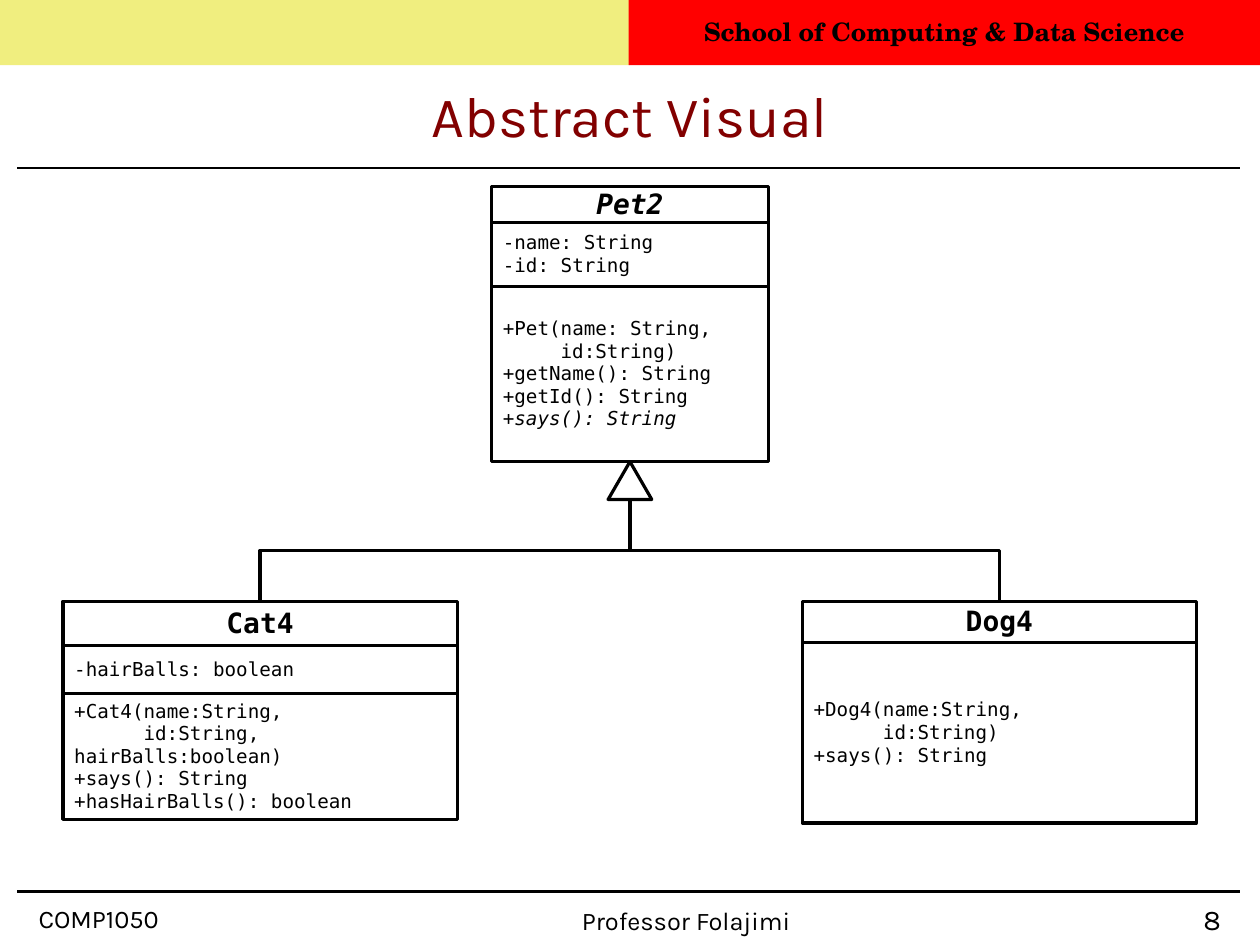
from pptx import Presentation
from pptx.dml.color import RGBColor
from pptx.enum.shapes import MSO_CONNECTOR, MSO_SHAPE
from pptx.enum.text import MSO_ANCHOR, MSO_AUTO_SIZE, PP_ALIGN
from pptx.oxml.xmlchemy import OxmlElement
from pptx.util import Cm, Pt

BLACK = RGBColor(0x00, 0x00, 0x00)
WHITE = RGBColor(0xFF, 0xFF, 0xFF)
RED = RGBColor(0xFF, 0x00, 0x00)
YELLOW = RGBColor(0xE3, 0xDE, 0x00)
MAROON = RGBColor(0x82, 0x00, 0x00)

BODY_FONT = "Karla"
CODE_FONT = "DejaVu Sans Mono"
BANNER_FONT = "TeX Gyre Schola"

MEMBER_SIZE = 12.1
CHARACTER_WIDTH = 0.602 * MEMBER_SIZE  # points, monospaced

SLIDE_WIDTH = 28
CENTER = SLIDE_WIDTH / 2
BANNER_HEIGHT = 1.45
PARENT_WIDTH, PARENT_TOP = 6.15, 4.14
CHILD_WIDTH, CHILD_TOP = 8.76, 13.36
CAT_LEFT, DOG_LEFT = 1.4, 17.83
TRIANGLE_WIDTH, TRIANGLE_HEIGHT = 0.97, 0.84


def format_paragraph(paragraph, font, size, color=BLACK, align=PP_ALIGN.LEFT,
                     spacing=0.98, bold=False, italic=False):
    paragraph.alignment = align
    paragraph.line_spacing = spacing
    for run in paragraph.runs:
        run.font.name = font
        run.font.size = Pt(size)
        run.font.color.rgb = color
        run.font.bold = bold
        run.font.italic = italic


def add_box(slide, kind, left, top, width, height, fill, outlined=True):
    shape = slide.shapes.add_shape(kind, Cm(left), Cm(top), Cm(width), Cm(height))
    shape.shadow.inherit = False
    shape.fill.solid()
    shape.fill.fore_color.rgb = fill
    if outlined:
        shape.line.color.rgb = BLACK
        shape.line.width = Pt(2)
    else:
        shape.line.fill.background()
    shape.text_frame.word_wrap = True
    shape.text_frame.vertical_anchor = MSO_ANCHOR.MIDDLE
    return shape


def add_line(slide, kind, start, end, width):
    connector = slide.shapes.add_connector(kind, *map(Cm, start + end))
    connector.line.color.rgb = BLACK
    connector.line.width = Pt(width)
    connector._element.spPr.append(OxmlElement("a:effectLst"))
    return connector


def add_rising_elbow(slide, start, end):
    """Draw an elbow that leaves and arrives vertically: a quarter-turned connector."""
    connector = add_line(slide, MSO_CONNECTOR.ELBOW, start, end, 2)
    across, rise = abs(end[0] - start[0]), start[1] - end[1]
    connector.left = Cm((start[0] + end[0] - rise) / 2)
    connector.top = Cm((start[1] + end[1] - across) / 2)
    connector.width, connector.height = Cm(rise), Cm(across)
    rightward = end[0] > start[0]
    transform = connector._element.spPr.xfrm
    transform.set("rot", str((90 if rightward else 270) * 60000))
    transform.set("flipH", "1" if rightward else "0")
    transform.set("flipV", "1")


def add_label(slide, text, left, top, width, size, align=PP_ALIGN.LEFT):
    frame = slide.shapes.add_textbox(Cm(left), Cm(top), Cm(width), Cm(0.71)).text_frame
    frame.word_wrap = True
    frame.margin_left = frame.margin_right = frame.margin_bottom = 0
    frame.margin_top = Cm(0.05)
    frame.text = text
    format_paragraph(frame.paragraphs[0], BODY_FONT, size, align=align, spacing=0.93)


def add_title(slide, text):
    title = slide.shapes.title
    title.left, title.top, title.width, title.height = map(Cm, (1.4, 1.5, 25.2, 1.83))
    frame = title.text_frame
    frame.text = text
    frame.auto_size = MSO_AUTO_SIZE.NONE
    frame.vertical_anchor = MSO_ANCHOR.MIDDLE
    frame.margin_left = frame.margin_right = frame.margin_top = frame.margin_bottom = 0
    format_paragraph(frame.paragraphs[0], BODY_FONT, 36, MAROON, PP_ALIGN.CENTER, 1.17)


def add_banner(slide):
    yellow = add_box(slide, MSO_SHAPE.RECTANGLE, 0, 0, CENTER, BANNER_HEIGHT, YELLOW, False)
    alpha = OxmlElement("a:alpha")
    alpha.set("val", "50000")
    yellow._element.spPr.find(".//{*}srgbClr").append(alpha)
    red = add_box(slide, MSO_SHAPE.RECTANGLE, CENTER - 0.03, 0, CENTER + 0.03,
                  BANNER_HEIGHT, RED, False)
    red.text_frame.text = "School of Computing & Data Science"
    format_paragraph(red.text_frame.paragraphs[0], BANNER_FONT, 16,
                     align=PP_ALIGN.CENTER, bold=True)


def add_class(slide, name, left, top, width, name_height, compartments, abstract=False):
    """Stack a name box and compartments of (height, [(text, indent, italic), ...])."""
    box = add_box(slide, MSO_SHAPE.RECTANGLE, left, top, width, name_height, WHITE)
    box.text_frame.text = name
    format_paragraph(box.text_frame.paragraphs[0], CODE_FONT, 17.6,
                     align=PP_ALIGN.CENTER, bold=True, italic=abstract)
    top += name_height
    for height, members in compartments:
        box = add_box(slide, MSO_SHAPE.RECTANGLE, left, top, width, height, WHITE)
        box.text_frame.text = "\n".join(text for text, _, _ in members)
        for paragraph, (_, indent, italic) in zip(box.text_frame.paragraphs, members):
            format_paragraph(paragraph, CODE_FONT, MEMBER_SIZE, italic=italic)
            if indent:
                properties = paragraph._p.get_or_add_pPr()
                properties.set("marL", "0")
                properties.set("indent", str(Pt(indent * CHARACTER_WIDTH)))
        top += height
    return top


def main():
    presentation = Presentation()
    presentation.slide_width, presentation.slide_height = Cm(SLIDE_WIDTH), Cm(21)
    slide = presentation.slides.add_slide(presentation.slide_layouts[5])

    add_banner(slide)
    add_title(slide, "Abstract Visual")
    for y in (3.73, 19.81):
        add_line(slide, MSO_CONNECTOR.STRAIGHT, (0.38, y), (27.56, y), 1.5)
    add_label(slide, "COMP1050", 0.86, 20.07, 4.9, 16)
    add_label(slide, "Professor Folajimi", 12.93, 20.12, 4.9, 16)
    add_label(slide, "8", 25.02, 20.07, 2.11, 18, PP_ALIGN.RIGHT)

    parent_bottom = add_class(
        slide, "Pet2", CENTER - PARENT_WIDTH / 2, PARENT_TOP, PARENT_WIDTH, 0.8, [
            (1.42, [("-name: String", 0, False), ("-id: String", 0, False)]),
            (3.9, [("+Pet(name: String,", 0, False),
                   ("id:String)", 5, False),
                   ("+getName(): String", 0, False),
                   ("+getId(): String", 0, False),
                   ("+says(): String", 0, True)]),
        ], abstract=True)
    add_class(slide, "Dog4", DOG_LEFT, CHILD_TOP, CHILD_WIDTH, 0.92, [
        (4.01, [("+Dog4(name:String,", 0, False),
                ("id:String)", 6, False),
                ("+says(): String", 0, False)]),
    ])
    add_class(slide, "Cat4", CAT_LEFT, CHILD_TOP, CHILD_WIDTH, 0.98, [
        (1.08, [("-hairBalls: boolean", 0, False)]),
        (2.79, [("+Cat4(name:String,", 0, False),
                ("id:String, hairBalls:boolean)", 6, False),
                ("+says(): String", 0, False),
                ("+hasHairBalls(): boolean", 0, False)]),
    ])

    add_box(slide, MSO_SHAPE.ISOSCELES_TRIANGLE, CENTER - TRIANGLE_WIDTH / 2,
            parent_bottom, TRIANGLE_WIDTH, TRIANGLE_HEIGHT, WHITE)
    for left in (CAT_LEFT, DOG_LEFT):
        add_rising_elbow(slide, (left + CHILD_WIDTH / 2, CHILD_TOP),
                         (CENTER, parent_bottom + TRIANGLE_HEIGHT))

    presentation.save("out.pptx")


if __name__ == "__main__":
    main()
